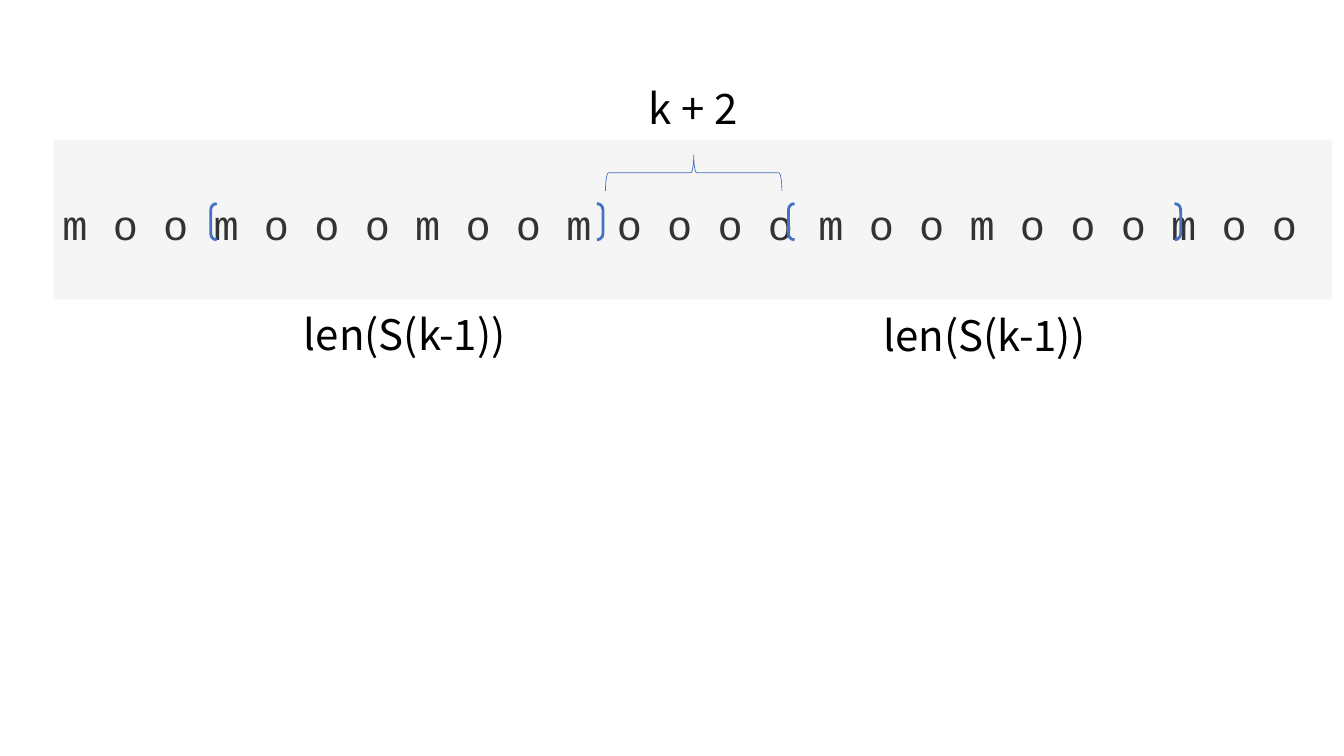
from pptx import Presentation
from pptx.dml.color import RGBColor
from pptx.enum.shapes import MSO_SHAPE
from pptx.enum.text import MSO_ANCHOR, MSO_AUTO_SIZE, PP_ALIGN
from pptx.util import Inches, Pt


def color(value):
    return RGBColor.from_string(value)


def write_text(frame, text, font="Noto Sans CJK KR", size=30, fill="000000"):
    frame.word_wrap = True
    paragraph = frame.paragraphs[0]
    paragraph.alignment = PP_ALIGN.CENTER
    run = paragraph.add_run()
    run.text = text
    run.font.name = font
    run.font.size = Pt(size)
    run.font.color.rgb = color(fill)


class SequenceSlide:
    band_fill = "F5F5F5"
    accent = "4472C4"
    code_font = "Courier New"
    code_color = "333333"

    def __init__(self, presentation):
        self.slide = presentation.slides.add_slide(presentation.slide_layouts[6])

    def band(self, text, left, top, width, height):
        shape = self.slide.shapes.add_shape(
            MSO_SHAPE.RECTANGLE, Inches(left), Inches(top), Inches(width), Inches(height))
        shape.shadow.inherit = False
        shape.fill.solid()
        shape.fill.fore_color.rgb = color(self.band_fill)
        shape.line.fill.background()
        frame = shape.text_frame
        frame.vertical_anchor = MSO_ANCHOR.MIDDLE
        frame.margin_left = frame.margin_bottom = 0
        # The right inset leaves room for one more character
        frame.margin_right = Inches(0.25)
        frame.margin_top = Inches(0.08)
        write_text(frame, text, font=self.code_font, fill=self.code_color)

    def outline(self, kind, left, top, width, height, weight, rotation=0):
        shape = self.slide.shapes.add_shape(
            kind, Inches(left), Inches(top), Inches(width), Inches(height))
        shape.shadow.inherit = False
        shape.rotation = rotation
        shape.fill.background()
        shape.line.color.rgb = color(self.accent)
        shape.line.width = Pt(weight)

    def label(self, text, left, top, width, height=0.61):
        box = self.slide.shapes.add_textbox(
            Inches(left), Inches(top), Inches(width), Inches(height))
        write_text(box.text_frame, text)
        box.text_frame.auto_size = MSO_AUTO_SIZE.SHAPE_TO_FIT_TEXT


def main():
    presentation = Presentation()
    presentation.slide_width = Inches(13.33)
    presentation.slide_height = Inches(7.5)
    sequence = SequenceSlide(presentation)

    # Letter sequence
    letters = "moomooomoomoooomoomooomoo"
    sequence.band(" ".join(letters), 0.53, 1.39, 12.68, 1.58)

    # Brace over the middle part
    sequence.outline(MSO_SHAPE.LEFT_BRACE, 6.7, 0.84, 0.36, 1.75, weight=0.5, rotation=90)

    # Brackets around the two outer parts
    for left in (2.09, 7.82):
        sequence.outline(MSO_SHAPE.DOUBLE_BRACKET, left, 2.02, 3.89, 0.36, weight=2)

    # Length labels
    sequence.label("k + 2", 5.9, 0.77, 1.95)
    for left, top in ((2.91, 3.01), (8.66, 3.02)):
        sequence.label("len(S(k-1))", left, top, 2.21)

    presentation.save("out.pptx")


if __name__ == "__main__":
    main()
